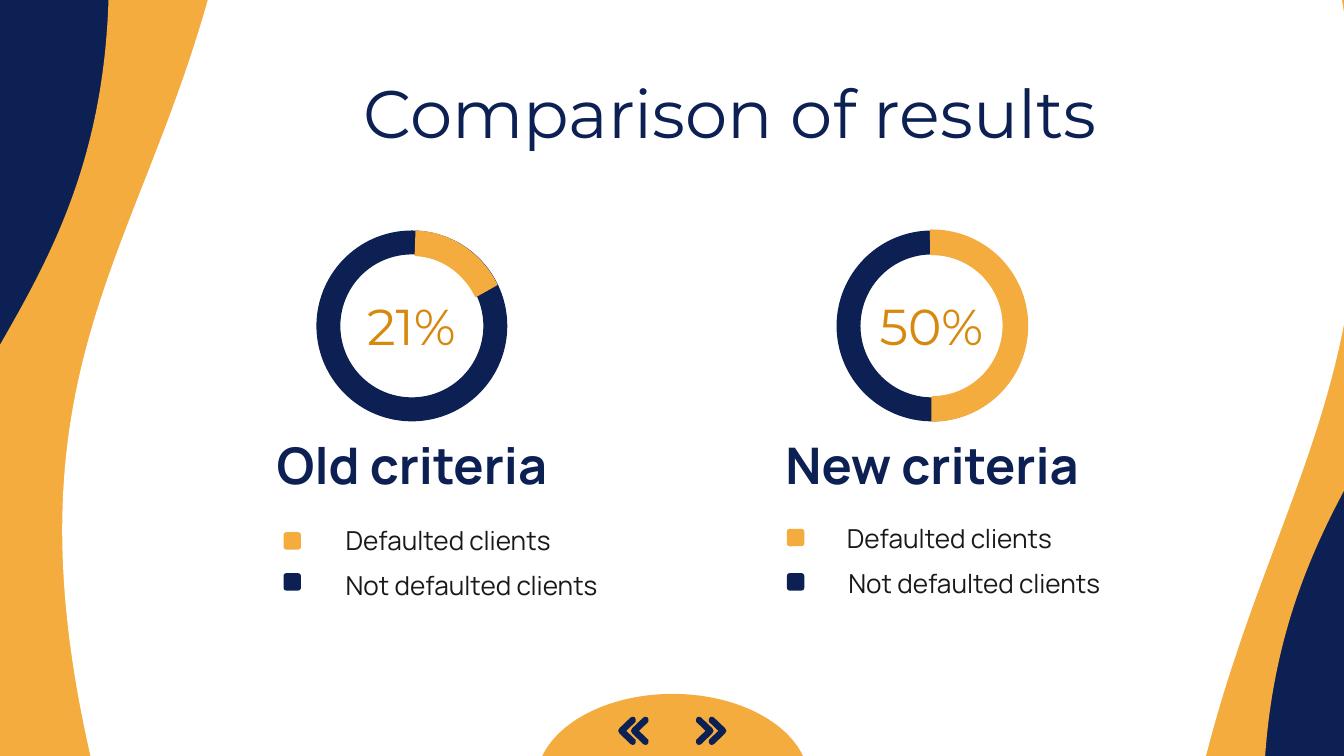
from pptx import Presentation
from pptx.dml.color import RGBColor
from pptx.enum.shapes import MSO_SHAPE as SHAPE
from pptx.enum.text import MSO_ANCHOR as ANCHOR, PP_ALIGN as ALIGN
from pptx.util import Inches, Pt

# The slide is a grid of 100 columns by 56.25 rows
COLS, ROWS = 100, 56.25
CELL = Inches(10) / COLS
NAVY, ORANGE, AMBER, WHITE, INK = "0C2054", "F3AC3D", "D7880D", "FFFFFF", "191919"


def cells(n):
    return int(round(n * CELL))


def color(hex_code):
    return RGBColor.from_string(hex_code)


def paint(sp, fill, line=None):
    sp.shadow.inherit = False
    sp.fill.solid()
    sp.fill.fore_color.rgb = color(fill)
    if line:
        sp.line.color.rgb = color(line)
        sp.line.width = Pt(0.75)
    else:
        sp.line.fill.background()


def add_shape(slide, kind, box, fill, line=None, adj=(), rot=0, flip=False):
    sp = slide.shapes.add_shape(kind, *map(cells, box))
    paint(sp, fill, line)
    for i, value in enumerate(adj):
        sp.adjustments[i] = value
    sp.rotation = rot
    if flip:
        sp._element.spPr.xfrm.set("flipH", "1")
    return sp


def add_text(slide, box, text, size, font, fill, bold=False, align=ALIGN.CENTER):
    tf = slide.shapes.add_textbox(*map(cells, box)).text_frame
    tf.word_wrap = True
    tf.vertical_anchor = ANCHOR.MIDDLE
    tf.margin_left = tf.margin_right = tf.margin_top = tf.margin_bottom = cells(1)
    p = tf.paragraphs[0]
    p.text = text
    p.alignment = align
    f = p.runs[0].font
    f.size, f.name, f.bold = Pt(size), font, bold
    f.color.rgb = color(fill)


def add_waves(slide, box):
    """Wavy side bands: orange sheets, then white ones, over the navy background."""
    x, y, _, _ = box
    for dx, dy, w, h, rot, fill in (
        (0.3, -9.4, 62.3, 77.3, 90, ORANGE),
        (39.4, -9.5, 62.5, 77.3, 270, ORANGE),
        (14.5, -3.8, 96.7, 78.4, 270, WHITE),
        (-3.2, -20.2, 91, 77.3, 90, WHITE),
    ):
        add_shape(slide, SHAPE.FLOWCHART_DOCUMENT, (x + dx, y + dy, w, h), fill,
                  rot=rot, flip=True)


def add_criteria(slide, box, name, percent, arc, arc_adj, legend):
    """Ring with its share, a heading and a two-line legend."""
    x, y, w, _ = box
    # Ring and highlighted arc
    add_shape(slide, SHAPE.DONUT, (x + 6, y, 14.1, 14.1), NAVY, NAVY, (0.119,), flip=True)
    dx, dy, arc_w, arc_h = arc
    add_shape(slide, SHAPE.BLOCK_ARC, (x + dx, y + dy, arc_w, arc_h), ORANGE, ORANGE,
              arc_adj, flip=True)
    add_text(slide, (x + 5.9, y + 4.15, 14.2, 5.7), percent, 27, "Montserrat", AMBER)
    # Heading
    add_text(slide, (x, y + 14.1, w, 6.5), name, 27, "Manrope", NAVY, bold=True)
    # Legend
    marker_x, entries = legend
    labels = ("Defaulted clients", ORANGE), ("Not defaulted clients", NAVY)
    for (label, fill), (marker_y, lx, ly, lw, lh) in zip(labels, entries):
        add_shape(slide, SHAPE.ROUNDED_RECTANGLE, (x + marker_x, y + marker_y, 1.3, 1.3),
                  fill, adj=(0.167,))
        add_text(slide, (x + lx, y + ly, lw, lh), label, 14, "Manrope", INK)


def add_chevron(slide, box, direction):
    """Round-ended chevron; its lower half mirrors the upper one."""
    x, y, w, h = box
    upper = [(0.54, 0.5), (0, 0.18), (0, 0.08), (0.06, 0.02), (0.17, 0),
             (0.29, 0.03), (0.93, 0.41), (1, 0.5)]
    outline = upper + [(px, 1 - py) for px, py in upper[-2:0:-1]]
    if direction < 0:
        outline = [(1 - px, py) for px, py in outline]
    points = [(cells(x + px * w), cells(y + py * h)) for px, py in outline]
    builder = slide.shapes.build_freeform(*points[0])
    builder.add_line_segments(points[1:])
    paint(builder.convert_to_shape(), NAVY)


def add_navigation(slide, box):
    """Half-round tab with a pair of chevrons pointing each way."""
    x, y, _, _ = box
    add_shape(slide, SHAPE.PIE, box, ORANGE, adj=(0, 108.31), rot=180, flip=True)
    for direction, first in ((1, 11.9), (-1, 6.1)):
        for i in range(2):
            add_chevron(slide, (x + first + 0.95 * i, y + 1.7, 1.3, 2.1), direction)


def main():
    prs = Presentation()
    prs.slide_width, prs.slide_height = cells(COLS), cells(ROWS)
    slide = prs.slides.add_slide(prs.slide_layouts[6])
    slide.background.fill.solid()
    slide.background.fill.fore_color.rgb = color(NAVY)

    add_waves(slide, (0, 0, COLS, ROWS))
    add_text(slide, (26.05, 5.75, 66, 5.1), "Comparison of results", 36, "Montserrat",
             NAVY, align=ALIGN.LEFT)
    # Legend rows: marker top, then label left, top, width, height
    add_criteria(slide, (17.6, 17.2, 26.1, 28.2), "Old criteria", "21%",
                 (6, 0, 14.2, 15), (125.57, 160.77, 0.127),
                 (3.5, ((22.4, 3.4, 21.05, 24.7, 3.9), (25.45, 5.4, 24.5, 24.2, 3.7))))
    add_criteria(slide, (56.3, 17.2, 26.1, 28.2), "New criteria", "50%",
                 (5.95, -0.07, 14.2, 14.2), (54.03, 162.57, 0.127),
                 (2.25, ((22.15, 3.05, 20.7, 22.6, 4.2), (25.45, 4.1, 24.3, 24.2, 3.7))))
    add_navigation(slide, (39.9, 51.63, 20.3, 13.1))
    prs.save("out.pptx")


if __name__ == "__main__":
    main()
